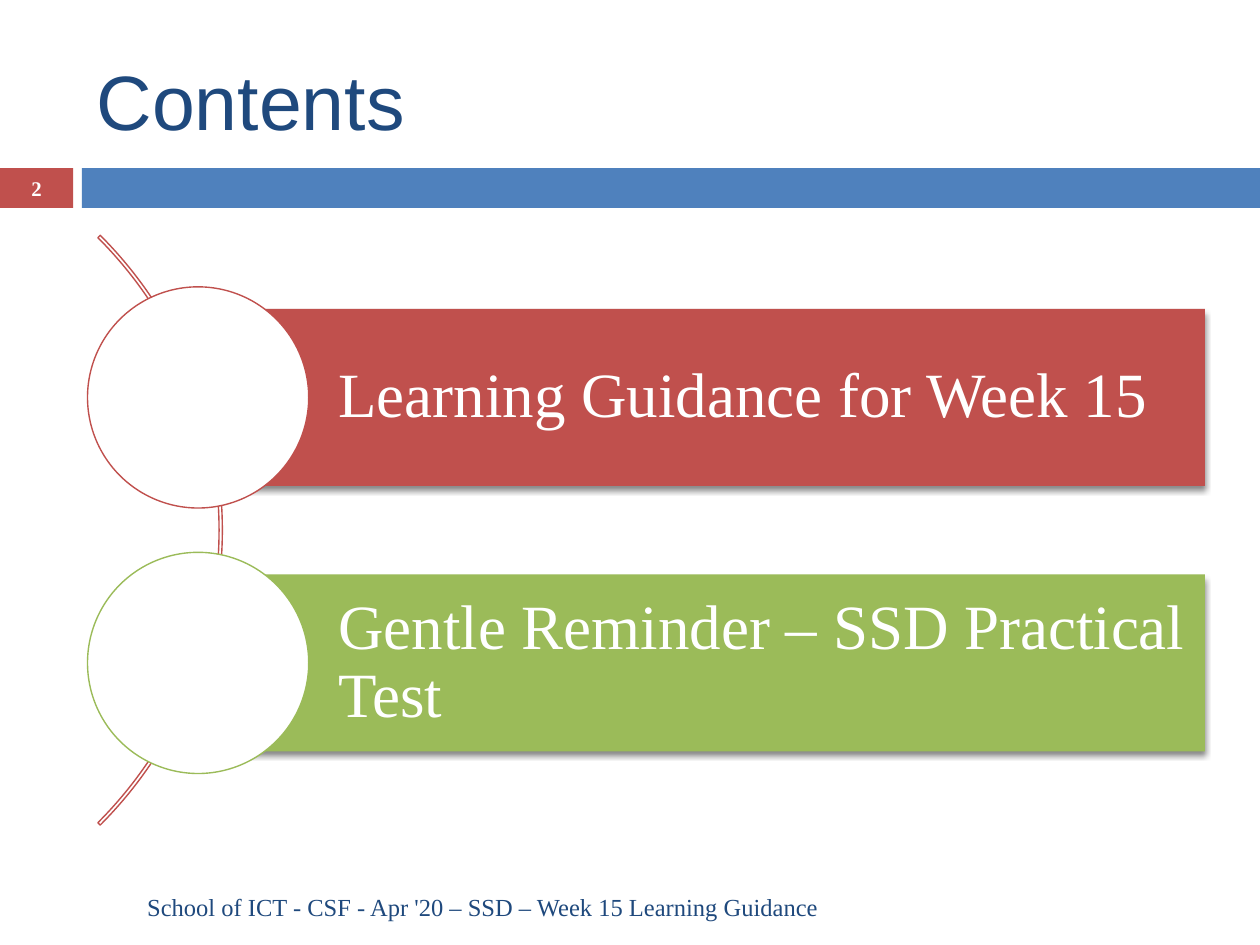
from lxml import etree
from pptx import Presentation
from pptx.dml.color import RGBColor
from pptx.enum import shapes, text
from pptx.oxml import ns
from pptx.util import Pt

COLORS = {"red": "C0504D", "blue": "4F81BD", "green": "9BBB59",
          "navy": "1F497D", "white": "FFFFFF", "black": "000000"}
SERIF = "Times New Roman"
SHAPE = shapes.MSO_SHAPE
ALIGN = text.PP_ALIGN


def color(name):
    return RGBColor.from_string(COLORS[name])


def write(box, words, *, size, tint, font=SERIF, bold=False,
          align=ALIGN.LEFT, spacing=1.0, insets=(7.2, 3.6, 7.2, 3.6)):
    frame = box.text_frame
    frame.word_wrap = True
    frame.auto_size = text.MSO_AUTO_SIZE.NONE
    frame.vertical_anchor = text.MSO_ANCHOR.MIDDLE
    (frame.margin_left, frame.margin_top,
     frame.margin_right, frame.margin_bottom) = map(Pt, insets)
    para = frame.paragraphs[0]
    para.alignment = align
    para.line_spacing = spacing
    span = para.add_run()
    span.text = words
    span.font.name = font
    span.font.size = Pt(size)
    span.font.bold = bold
    span.font.color.rgb = color(tint)


def add_shape(page, kind, box, fill=None, line=None):
    shape = page.shapes.add_shape(kind, *map(Pt, box))
    shape.shadow.inherit = False
    if fill:
        shape.fill.solid()
        shape.fill.fore_color.rgb = color(fill)
    else:
        shape.fill.background()
    if line:
        shape.line.color.rgb = color(line)
        shape.line.width = Pt(0.79)
    else:
        shape.line.fill.background()
    return shape


def drop_shadow(shape):
    effects = shape.element.spPr.find(ns.qn("a:effectLst"))
    shadow = etree.SubElement(effects, ns.qn("a:outerShdw"), blurRad=str(Pt(3)),
                              dist=str(Pt(2.4)), dir="5400000", rotWithShape="0")
    tint = etree.SubElement(shadow, ns.qn("a:srgbClr"), val=COLORS["black"])
    etree.SubElement(tint, ns.qn("a:alpha"), val="45000")


def add_header(page, box):
    """Title above a band that starts with the page number."""
    left, top, width, height = box
    band_height, number_width, gap = 22.7, 41.8, 5
    band_top = top + height - band_height
    title = page.shapes.title
    title.left, title.top, title.width, title.height = map(
        Pt, (left + 48, top + 18, 642, 78))
    write(title, "Contents", size=44, tint="navy", font="Arial")
    number = add_shape(page, SHAPE.RECTANGLE,
                       (left, band_top, number_width, band_height), "red")
    write(number, "2", size=11.9, tint="white", bold=True, align=ALIGN.CENTER)
    band_left = left + number_width + gap
    add_shape(page, SHAPE.RECTANGLE,
              (band_left, band_top, left + width - band_left, band_height), "blue")


def add_topics(page, box, topics):
    """Topic bars with circles strung along an arc."""
    left, top, width, height = box
    bar_height, circle, arc = 101.1, 126.4, 476.6
    pitch = height - circle
    # Arc from 315 to 45 degrees, centred on the list's height
    curve = add_shape(page, SHAPE.BLOCK_ARC,
                      (left - 399.5, top + (height - arc) / 2, arc, arc), line="red")
    for index, value in enumerate((189, 27, 0.004)):
        curve.adjustments[index] = value
    for index, (words, tint) in enumerate(topics):
        circle_top = top + index * pitch
        bar = add_shape(page, SHAPE.RECTANGLE,
                        (left + circle / 2, circle_top + (circle - bar_height) / 2,
                         width - circle / 2, bar_height), tint)
        drop_shadow(bar)
        write(bar, words, size=36, tint="white", spacing=0.9,
              insets=(80.2, 7.2, 7.2, 7.2))
        add_shape(page, SHAPE.OVAL, (left, circle_top, circle, circle), "white", tint)


def add_footer(page, box):
    footer = page.shapes.add_textbox(*map(Pt, box))
    write(footer, "School of ICT - CSF - Apr '20 – SSD – Week 15 Learning Guidance",
          size=14, tint="navy", align=ALIGN.RIGHT)


def main():
    deck = Presentation()
    deck.slide_width, deck.slide_height = Pt(720), Pt(540)
    page = deck.slides.add_slide(deck.slide_layouts[5])
    add_header(page, (0, 0, 720, 118.8))
    add_topics(page, (50, 163.9, 638.5, 278.1), [
        ("Learning Guidance for Week 15", "red"),
        ("Gentle Reminder – SSD Practical Test", "green"),
    ])
    add_footer(page, (48, 503.5, 427, 28.8))
    deck.save("out.pptx")


if __name__ == "__main__":
    main()
